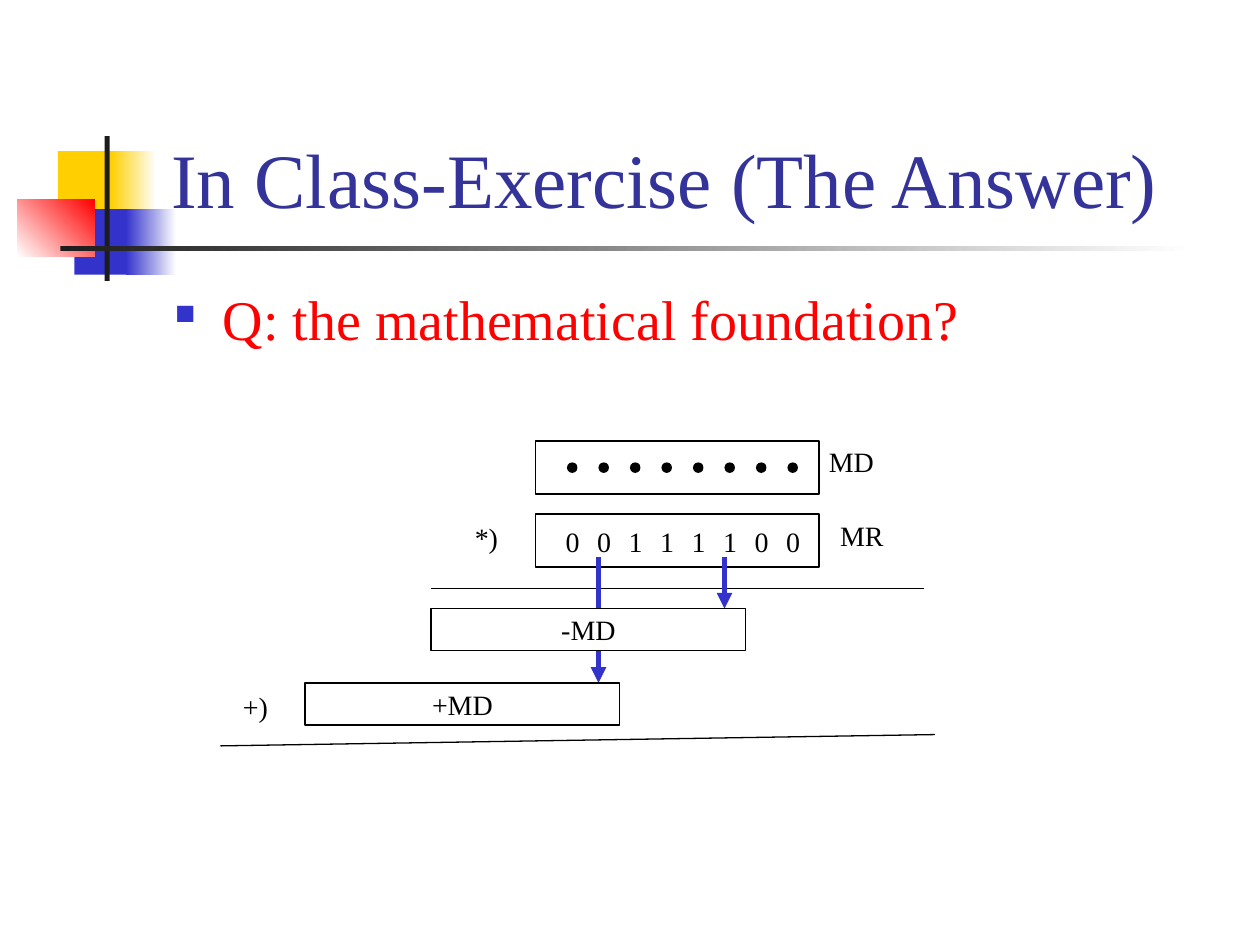
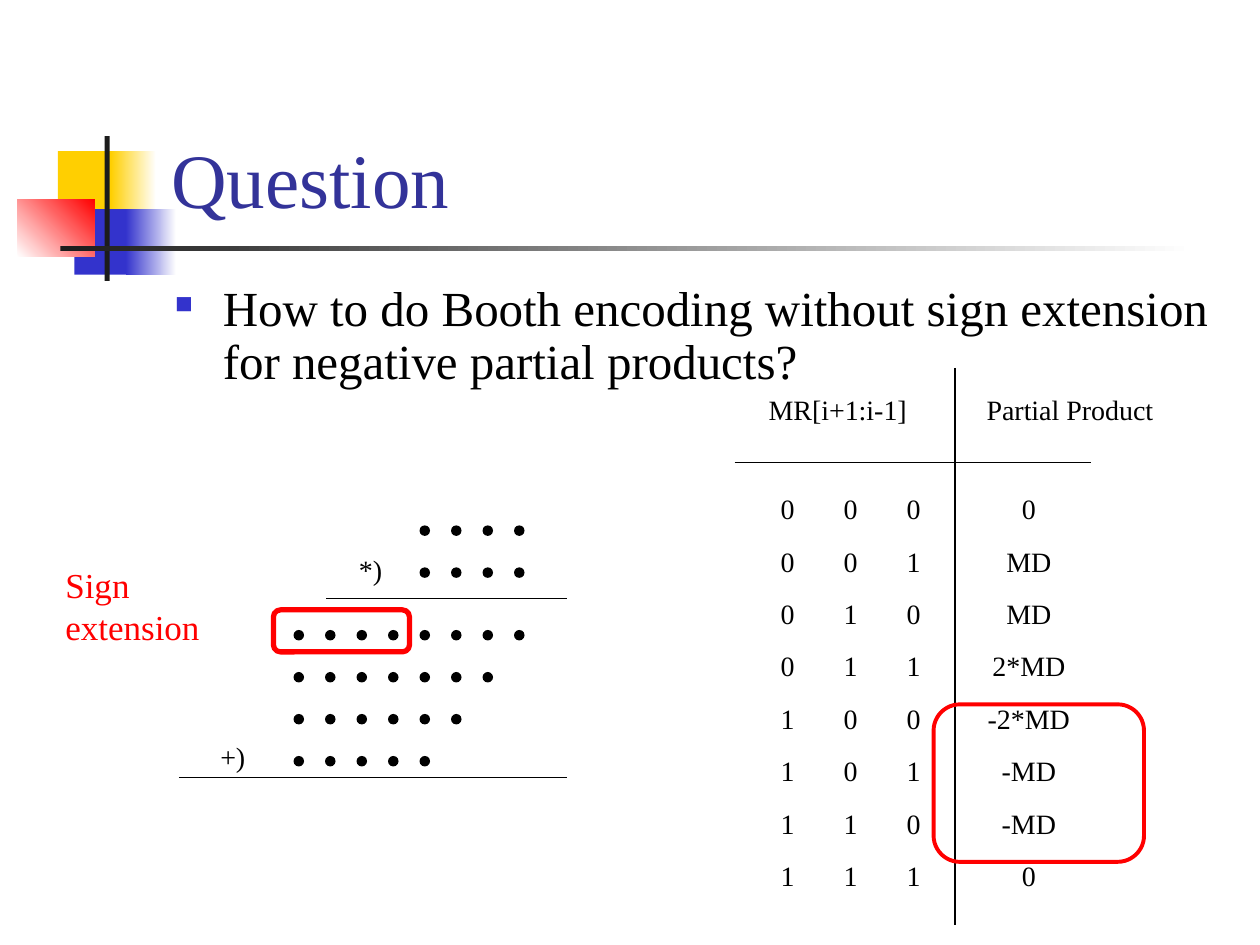
from dataclasses import dataclass
from itertools import product

from lxml import etree
from pptx import Presentation
from pptx.dml.color import RGBColor as Rgb
from pptx.enum.shapes import MSO_CONNECTOR as Link, MSO_SHAPE as Preset
from pptx.enum.text import MSO_ANCHOR as Anchor, PP_ALIGN as Align
from pptx.oxml.ns import qn
from pptx.util import Inches, Pt


@dataclass(frozen=True)
class Theme:
    """Colours, typeface and type sizes used on every slide."""
    font: str = "Times New Roman"
    title: str = "333399"
    blue: str = "3333CC"
    red: str = "FF0000"
    yellow: str = "FFCF01"
    dark: str = "1C1C1C"
    black: str = "000000"
    white: str = "FFFFFF"
    title_size: int = 44
    callout_size: int = 20
    label_size: int = 16
    hairline: float = 0.75


@dataclass(frozen=True)
class Box:
    """A region in inches; places parts relative to its top left corner."""
    left: float
    top: float
    width: float
    height: float

    def at(self, x, y, *size):
        return [Inches(v) for v in (self.left + x, self.top + y, *size)]


THEME = Theme()
DOT, STEP, ROW = 1 / 12, 0.25, 1 / 3
TITLE_BOX = Box(1.26, 0.23, 8.52, 1.6)
POINT_BOX = Box(1.29, 2.21, 8.5, 0.96)
NO_INSETS = dict.fromkeys(
    ("margin_left", "margin_right", "margin_top", "margin_bottom"), 0)
CENTRED = {"vertical_anchor": Anchor.MIDDLE, "word_wrap": False}
NO_GRID_STYLE = "{2D5ABB26-0587-4C30-8999-92F81FD0307C}"


def apply(target, formats):
    """Set each attribute named in formats."""
    for name, value in formats.items():
        setattr(target, name, value)


def write(frame, text, size=THEME.label_size, color=THEME.black, align=Align.LEFT):
    """Put one styled paragraph in a text frame and return it."""
    paragraph = frame.paragraphs[0]
    paragraph.alignment = align
    run = paragraph.add_run()
    run.text = text
    apply(run.font, {"name": THEME.font, "size": Pt(size), "bold": False})
    run.font.color.rgb = Rgb.from_string(color)
    return paragraph


def add_label(slide, place, text, **style):
    """Add free text that starts at the left of its place."""
    frame = slide.shapes.add_textbox(*place).text_frame
    frame.word_wrap = True
    return write(frame, text, **style)


def add_block(slide, place, preset=Preset.RECTANGLE, fill=None, line=None,
              weight=THEME.hairline, text=None):
    """Add a preset shape with optional fill, outline and centred text."""
    block = slide.shapes.add_shape(preset, *place)
    block.shadow.inherit = False
    if fill:
        block.fill.solid()
        block.fill.fore_color.rgb = Rgb.from_string(fill)
    else:
        block.fill.background()
    if line:
        block.line.color.rgb = Rgb.from_string(line)
        block.line.width = Pt(weight)
    else:
        block.line.fill.background()
    if text:
        apply(block.text_frame, CENTRED)
        write(block.text_frame, text, align=Align.CENTER)
    return block


def add_rule(slide, start, end, color=THEME.black, weight=THEME.hairline, arrow=False):
    """Add a straight line, with an arrowhead at its end if asked."""
    rule = slide.shapes.add_connector(Link.STRAIGHT, *start, *end)
    rule.line.color.rgb = Rgb.from_string(color)
    rule.line.width = Pt(weight)
    props = rule.element.spPr
    if arrow:
        etree.SubElement(props.find(qn("a:ln")), qn("a:tailEnd"), type="triangle")
    etree.SubElement(props, qn("a:effectLst"))


def add_dots(slide, box, x, y, count):
    """Add a row of evenly spaced bit dots."""
    for i in range(count):
        add_block(slide, box.at(x + i * STEP, y, DOT, DOT), Preset.OVAL, THEME.black)


def add_emblem(slide, layout, box):
    """Build the coloured squares and rules, then hand them to the layout."""
    parts = [
        (0.32, 0.12, 0.48, 0.52, THEME.yellow, None, 0),
        (0.74, 0.12, 0.36, 0.52, THEME.yellow, THEME.white, 0),
        (0.45, 0.58, 0.46, 0.52, THEME.blue, None, 0),
        (0.86, 0.58, 0.4, 0.52, THEME.blue, THEME.white, 0),
        (0, 0.5, 0.61, 0.46, THEME.white, THEME.red, 45),
        (0.69, 0, 0.04, 1.15, THEME.dark, None, 0),
        (0.34, 0.87, 9, 0.04, THEME.dark, THEME.white, 0),
    ]
    for x, y, width, height, color, fade, angle in parts:
        part = add_block(slide, box.at(x, y, width, height), fill=color)
        if fade:
            part.fill.gradient()
            part.fill.gradient_angle = angle
            for stop, tone in zip(part.fill.gradient_stops, (color, fade)):
                stop.color.rgb = Rgb.from_string(tone)
        layout.shapes.element.append(part.element)


def set_title(slide, box, text):
    """Move and format the title placeholder."""
    title = slide.shapes.title
    apply(title, dict(zip(("left", "top", "width", "height"),
                          box.at(0, 0, box.width, box.height))))
    apply(title.text_frame, {"vertical_anchor": Anchor.BOTTOM, "word_wrap": True})
    write(title.text_frame, text, THEME.title_size, THEME.title)


def add_point(slide, box, text, size, color=THEME.black, spacing=1.0):
    """Add the main point with its square bullet and hanging indent."""
    point = add_label(slide, box.at(0, 0, box.width, box.height), text,
                      size=size, color=color)
    apply(point, {"space_before": Pt(size * 0.2), "line_spacing": spacing})
    props = point._p.get_or_add_pPr()
    indent = Inches(0.38)
    props.set("marL", str(indent))
    props.set("indent", str(-indent))
    bullet_color = etree.SubElement(props, qn("a:buClr"))
    etree.SubElement(bullet_color, qn("a:srgbClr"), val=THEME.blue)
    etree.SubElement(props, qn("a:buSzPct"), val="50000")
    etree.SubElement(props, qn("a:buChar"), char="■")


def add_recoding(slide, box):
    """Draw MD times MR, replaced by one subtraction and one addition."""
    add_dots(slide, box, 2.75, 0.17, 8)
    for i, bit in enumerate("00111100"):
        cell = slide.shapes.add_textbox(*box.at(2.67 + i * STEP, 0.67, STEP, STEP))
        apply(cell.text_frame, {**NO_INSETS, **CENTRED})
        write(cell.text_frame, bit, align=Align.CENTER)
    for y in (0, 0.58):
        add_block(slide, box.at(2.5, y, 2.25, 0.42), line=THEME.black)
    for x, y, width, text in [(4.73, -0.02, 0.7, "MD"), (4.82, 0.57, 0.7, "MR"),
                              (1.92, 0.58, 0.5, "*)"), (0.08, 1.92, 0.5, "+)")]:
        add_label(slide, box.at(x, y, width, 0.37), text)
    add_rule(slide, box.at(1.67, 1.17), box.at(5.58, 1.17))
    add_rule(slide, box.at(0, box.height), box.at(box.width, 2.33))
    for bit_x, term_x, term_y, term in [(3, 0.67, 1.92, "+MD"),
                                        (4, 1.67, 1.33, "-MD")]:
        add_rule(slide, box.at(bit_x, 0.92), box.at(bit_x, term_y),
                 THEME.blue, 3, arrow=True)
        add_block(slide, box.at(term_x, term_y, 2.5, ROW), fill=THEME.white,
                  line=THEME.black, text=term)


def add_partial_products(slide, box):
    """Draw a dot multiplication and mark its sign extension."""
    for row in range(2):
        add_dots(slide, box, 2.91, row * ROW, 4)
    for row in range(4):
        add_dots(slide, box, 1.91, 0.83 + row * ROW, 8 - row)
    for x, y, sign in [(2.33, 0.17, "*)"), (1.23, 1.65, "+)")]:
        add_label(slide, box.at(x, y, 0.5, 0.37), sign)
    for x, y in [(2.17, 0.58), (1, box.height)]:
        add_rule(slide, box.at(x, y), box.at(box.width, y))
    add_block(slide, box.at(1.75, 0.67, 1.08, ROW), Preset.ROUNDED_RECTANGLE,
              line=THEME.red, weight=3)
    add_label(slide, box.at(0, 0.25, 1.3, 0.76), "Sign extension",
              size=THEME.callout_size, color=THEME.red)


def add_encoding_table(slide, box):
    """List the partial product for each three-bit group of MR."""
    terms = ["0", "MD", "MD", "2*MD", "-2*MD", "-MD", "-MD", "0"]
    widths, header_height, row_height = [0.5, 0.5, 0.5, 1.8], 0.92, 5 / 12
    total = header_height + len(terms) * row_height
    table = slide.shapes.add_table(len(terms) + 1, len(widths),
                                   *box.at(0.17, 0, sum(widths), total)).table
    apply(table, {"first_row": False, "horz_banding": False})
    table._tbl.tblPr.find(qn("a:tableStyleId")).text = NO_GRID_STYLE
    for column, width in zip(table.columns, widths):
        column.width = Inches(width)
    for i, row in enumerate(table.rows):
        row.height = Inches(row_height if i else header_height)
        for cell in row.cells:
            cell.fill.background()
            apply(cell, NO_INSETS)

    table.cell(0, 0).merge(table.cell(0, 2))
    for column, text, indent in [(0, "MR[i+1:i-1]", 0.1), (3, "Partial Product", 0.33)]:
        header = table.cell(0, column)
        apply(header, {"margin_left": Inches(indent), "margin_top": Inches(0.22)})
        write(header.text_frame, text)
    for i, (bits, term) in enumerate(zip(product("01", repeat=3), terms), 1):
        for column, text in enumerate((*bits, term)):
            cell = table.cell(i, column)
            cell.vertical_anchor = Anchor.MIDDLE
            write(cell.text_frame, text, align=Align.CENTER)
        table.cell(i, 3).margin_right = Inches(0.47)

    add_rule(slide, box.at(0, 0.75), box.at(2.83, 0.75))
    add_rule(slide, box.at(1.75, 0), box.at(1.75, box.height))
    add_block(slide, box.at(1.58, 2.67, 1.67, 1.25), Preset.ROUNDED_RECTANGLE,
              line=THEME.red, weight=2.25)


def main():
    """Build the two slides and save them."""
    deck = Presentation()
    apply(deck, {"slide_width": Inches(10), "slide_height": Inches(7.5)})
    title_only = deck.slide_layouts[5]

    answer = deck.slides.add_slide(title_only)
    add_emblem(answer, title_only, Box(0.14, 1.08, 9.34, 1.15))
    set_title(answer, TITLE_BOX, "In Class-Exercise (The Answer)")
    add_point(answer, POINT_BOX, "Q: the mathematical foundation?", 32, THEME.red)
    add_recoding(answer, Box(1.75, 3.5, 5.67, 2.42))

    question = deck.slides.add_slide(title_only)
    set_title(question, TITLE_BOX, "Question")
    add_point(question, POINT_BOX, "How to do Booth encoding without sign extension "
              "for negative partial products?", 28, spacing=0.9)
    add_partial_products(question, Box(0.42, 4.17, 4.08, 2))
    add_encoding_table(question, Box(5.83, 2.92, 3.47, 4.42))

    deck.save("out.pptx")


main()
